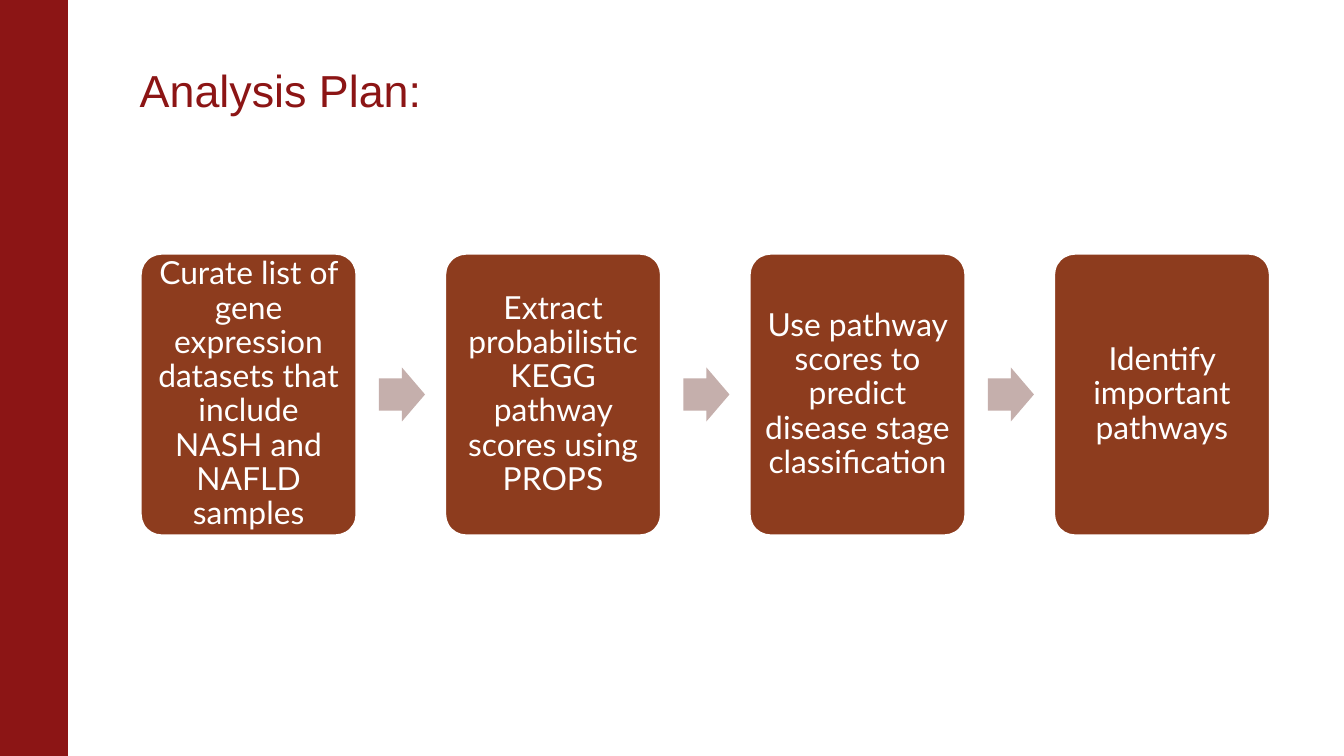
"""Build the Analysis Plan slide: four process steps joined by block arrows."""
from pptx import Presentation
from pptx.dml.color import RGBColor
from pptx.enum.shapes import MSO_SHAPE as SHAPE
from pptx.enum.text import MSO_ANCHOR as ANCHOR, PP_ALIGN as ALIGN
from pptx.util import Pt

RED = RGBColor(0x8C, 0x15, 0x15)
BROWN = RGBColor(0x8D, 0x3C, 0x1E)
PINK = RGBColor(0xC5, 0xAF, 0xAC)
WHITE = RGBColor(0xFF, 0xFF, 0xFF)

STEPS = [
    "Curate list of gene expression datasets that include NASH and NAFLD samples",
    "Extract probabilistic KEGG pathway scores using PROPS",
    "Use pathway scores to predict disease stage classification",
    "Identify important pathways",
]
LEFT, TOP, WIDTH, HEIGHT, PITCH = 74.9, 135.4, 116.6, 151.9, 163.1
ARROW_W, ARROW_H, ARROW_DX = 24.7, 28.9, 128.1


def add_shape(kind, x, y, w, h, fill, line=None, weight=0.75):
    sp = s.shapes.add_shape(kind, Pt(x), Pt(y), Pt(w), Pt(h))
    sp.shadow.inherit = False
    sp.fill.solid()
    sp.fill.fore_color.rgb = fill
    if line is None:
        sp.line.fill.background()
    else:
        sp.line.color.rgb = line
        sp.line.width = Pt(weight)
    return sp


def write(sp, text, frame, para, font, color):
    tf = sp.text_frame
    p = tf.paragraphs[0]
    r = p.add_run()
    r.text = text
    for obj, values in ((tf, frame), (p, para), (r.font, font)):
        for name, value in values.items():
            setattr(obj, name, value)
    r.font.color.rgb = color


prs = Presentation()
prs.slide_width, prs.slide_height = Pt(720), Pt(405)
s = prs.slides.add_slide(prs.slide_layouts[6])

add_shape(SHAPE.RECTANGLE, 0, 0, 36, 405, RED, RED)

title = s.shapes.add_textbox(Pt(LEFT), Pt(28.1), Pt(607), Pt(38.2))
write(title, "Analysis Plan:",
      {"word_wrap": True, "vertical_anchor": ANCHOR.BOTTOM, "margin_left": 0},
      {"line_spacing": 0.85}, {"name": "Arial", "size": Pt(24)}, RED)

step_frame = {"word_wrap": True, "vertical_anchor": ANCHOR.MIDDLE}
step_frame.update({f"margin_{side}": Pt(5) for side in ("left", "top", "right", "bottom")})
step_para = {"alignment": ALIGN.CENTER, "line_spacing": 0.9}
step_font = {"name": "Lato", "size": Pt(17)}

for i, text in enumerate(STEPS):
    x = LEFT + i * PITCH
    box = add_shape(SHAPE.ROUNDED_RECTANGLE, x, TOP, WIDTH, HEIGHT, BROWN, WHITE, 2.08)
    box.adjustments[0] = 0.1
    write(box, text, step_frame, step_para, step_font, WHITE)
    if i < len(STEPS) - 1:
        arrow = add_shape(SHAPE.RIGHT_ARROW, x + ARROW_DX, TOP + (HEIGHT - ARROW_H) / 2,
                          ARROW_W, ARROW_H, PINK)
        arrow.adjustments[0] = 0.6
        arrow.adjustments[1] = 0.5

prs.save("out.pptx")
